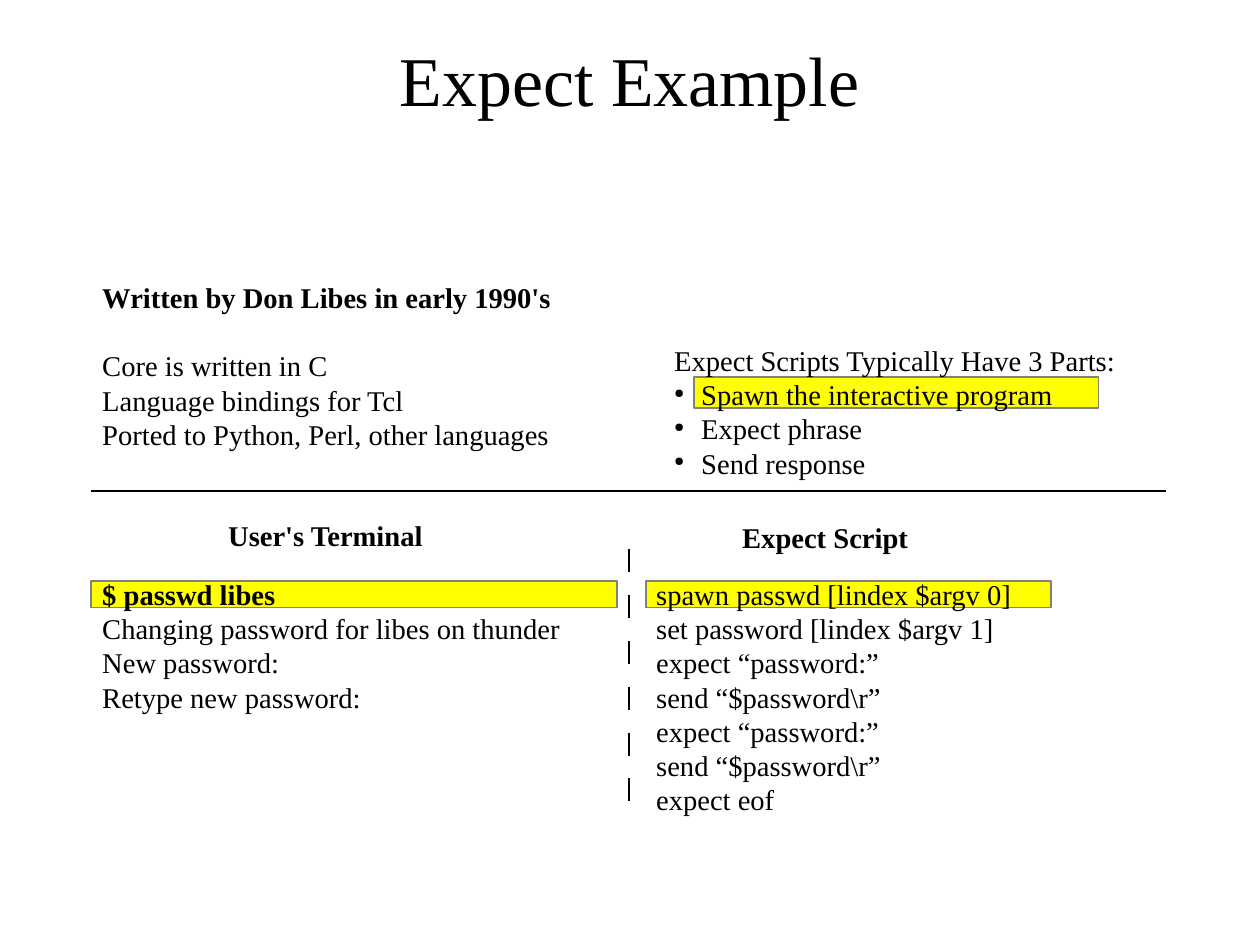
from lxml.etree import SubElement
from pptx import Presentation
from pptx.dml.color import RGBColor
from pptx.enum.shapes import MSO_CONNECTOR, MSO_SHAPE
from pptx.enum.text import MSO_ANCHOR, PP_ALIGN
from pptx.oxml.ns import qn
from pptx.util import Pt

PIXEL = 8000
FONT = "Times New Roman"
BLACK = RGBColor(0, 0, 0)
YELLOW = RGBColor(255, 255, 0)
GRAY = RGBColor(128, 128, 128)
LINE_HEIGHT = 1.2
BULLET_INDENT = 27

presentation = Presentation()
presentation.slide_width = 1260 * PIXEL
presentation.slide_height = 945 * PIXEL
slide = presentation.slides.add_slide(presentation.slide_layouts[6])


def add_text(box, lines, size=18, bold_first=False):
    shape = slide.shapes.add_textbox(*[value * PIXEL for value in box])
    text_frame = shape.text_frame
    text_frame.word_wrap = False
    text_frame.text = "\n".join(lines)
    for index, paragraph in enumerate(text_frame.paragraphs):
        paragraph.line_spacing = Pt(size * LINE_HEIGHT)
        font = paragraph.runs[0].font
        font.name = FONT
        font.size = Pt(size)
        font.bold = bold_first and index == 0
        font.color.rgb = BLACK
    return text_frame


def add_line(start_x, start_y, end_x, end_y):
    ends = [value * PIXEL for value in (start_x, start_y, end_x, end_y)]
    connector = slide.shapes.add_connector(MSO_CONNECTOR.STRAIGHT, *ends)
    connector.line.color.rgb = BLACK
    connector.line.width = Pt(1.45)
    SubElement(connector.element.spPr, qn("a:effectLst"))
    return connector


highlights = [(694, 377, 405, 31), (646, 581, 405, 27), (91, 581, 526, 27)]
for box in highlights:
    highlight = slide.shapes.add_shape(
        MSO_SHAPE.RECTANGLE, *[value * PIXEL for value in box]
    )
    highlight.shadow.inherit = False
    highlight.fill.solid()
    highlight.fill.fore_color.rgb = YELLOW
    highlight.line.color.rgb = GRAY
    highlight.line.width = 0

title = add_text((63, 40, 1134, 78), ["Expect Example"], size=44)
title.margin_left = title.margin_right = title.margin_top = title.margin_bottom = 0
title.vertical_anchor = MSO_ANCHOR.MIDDLE
title.word_wrap = True
title.paragraphs[0].alignment = PP_ALIGN.CENTER

history = add_text(
    (91, 274, 472, 169),
    [
        "Written by Don Libes in early 1990's",
        "Core is written in C",
        "Language bindings for Tcl",
        "Ported to Python, Perl, other languages",
    ],
    bold_first=True,
)
history.paragraphs[0].space_after = Pt(18 * LINE_HEIGHT)

script_parts = add_text(
    (663, 337, 465, 138),
    [
        "Expect Scripts Typically Have 3 Parts:",
        "Spawn the interactive program",
        "Expect phrase",
        "Send response",
    ],
)
for paragraph in script_parts.paragraphs[1:]:
    properties = paragraph._p.get_or_add_pPr()
    properties.set("marL", str(BULLET_INDENT * PIXEL))
    properties.set("indent", str(-BULLET_INDENT * PIXEL))
    bullet_color = SubElement(properties, qn("a:buClr"))
    SubElement(bullet_color, qn("a:srgbClr"), val=str(BLACK))
    SubElement(properties, qn("a:buSzPct"), val="45000")
    SubElement(properties, qn("a:buChar"), char="●")

add_text((217, 512, 217, 43), ["User's Terminal"], bold_first=True)
add_text((731, 514, 189, 43), ["Expect Script"], bold_first=True)
add_text(
    (91, 571, 481, 138),
    [
        "$ passwd libes",
        "Changing password for libes on thunder",
        "New password:",
        "Retype new password:",
    ],
    bold_first=True,
)
password_exchange = ["expect “password:”", "send “$password\\r”"]
add_text(
    (645, 571, 378, 233),
    ["spawn passwd [lindex $argv 0]", "set password [lindex $argv 1]"]
    + password_exchange * 2
    + ["expect eof"],
)

add_line(91, 491, 1166, 491)
divider = add_line(629, 549, 629, 823)
dashes = SubElement(divider.line._get_or_add_ln(), qn("a:custDash"))
SubElement(dashes, qn("a:ds"), d="1000000", sp="1000000")

presentation.save("out.pptx")
